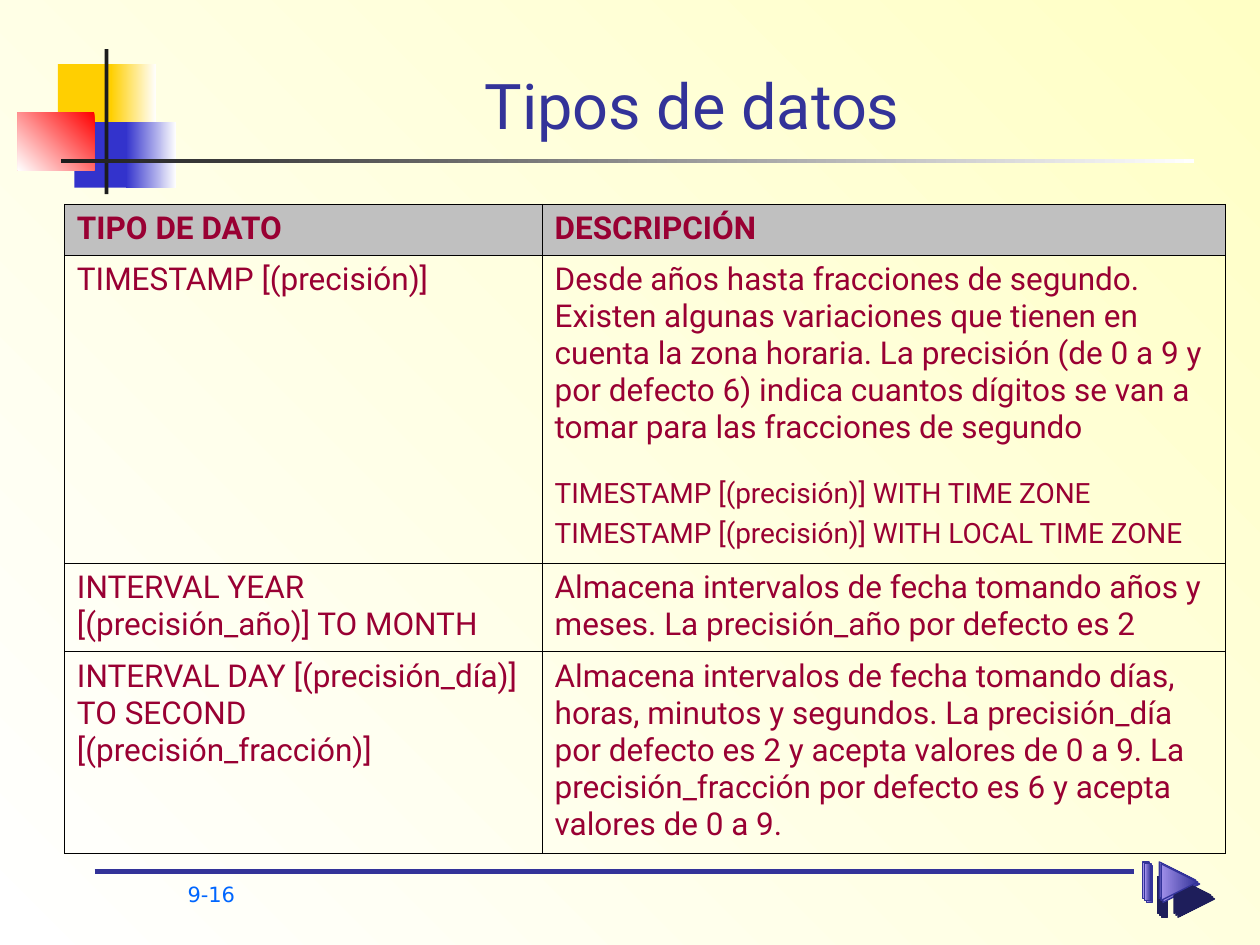
from lxml import etree
from pptx import Presentation
from pptx.dml.color import RGBColor
from pptx.enum.shapes import MSO_CONNECTOR, MSO_SHAPE
from pptx.enum.text import MSO_ANCHOR, PP_ALIGN
from pptx.oxml.ns import qn
from pptx.util import Pt

WHITE = RGBColor(0xFF, 0xFF, 0xFF)
CREAM = RGBColor(0xFF, 0xFF, 0xC5)
YELLOW = RGBColor(0xFF, 0xCF, 0x01)
BLUE = RGBColor(0x33, 0x33, 0xCC)
RED = RGBColor(0xFF, 0x00, 0x00)
DARK = RGBColor(0x1C, 0x1C, 0x1C)
NAVY = RGBColor(0x33, 0x33, 0x99)
LILAC = RGBColor(0xA0, 0x8F, 0xE9)
SHADOW = RGBColor(0x1E, 0x1E, 0x5B)
SKY = RGBColor(0x00, 0x66, 0xFF)
WINE = RGBColor(0x99, 0x00, 0x33)
GRAY = RGBColor(0xC0, 0xC0, 0xC0)
BLACK = RGBColor(0, 0, 0)

TITLE = "Tipos de datos"
PAGE = "9-16"

# Each cell is a list of paragraphs: (text, size, space before)
ROWS = [
    ([("TIPO DE DATO", 18, 0)], [("DESCRIPCIÓN", 18, 0)]),
    ([("TIMESTAMP [(precisión)]", 18, 0)],
     [("Desde años hasta fracciones de segundo. Existen algunas variaciones "
       "que tienen en cuenta la zona horaria. La precisión (de 0 a 9 y por "
       "defecto 6) indica cuantos dígitos se van a tomar para las fracciones "
       "de segundo", 18, 0),
      ("TIMESTAMP [(precisión)] WITH TIME ZONE", 16, 18.2),
      ("TIMESTAMP [(precisión)] WITH LOCAL TIME ZONE", 16, 4)]),
    ([("INTERVAL YEAR [(precisión_año)] TO MONTH", 18, 0)],
     [("Almacena intervalos de fecha tomando años y meses. La precisión_año "
       "por defecto es 2", 18, 0)]),
    ([("INTERVAL DAY [(precisión_día)] TO SECOND [(precisión_fracción)]", 18, 0)],
     [("Almacena intervalos de fecha tomando días, horas, minutos y segundos. "
       "La precisión_día por defecto es 2 y acepta valores de 0 a 9. La "
       "precisión_fracción por defecto es 6 y acepta valores de 0 a 9.", 18, 0)]),
]
COL_WIDTHS = (273, 390.2)
ROW_HEIGHTS = (29, 176.2, 50.6, 115.2)

# Left, top, width, height, gradient start (None if solid), end, angle
ORNAMENT = [
    (33.1, 36.7, 34.6, 37.4, None, YELLOW, 0),
    (63.4, 36.7, 25.9, 37.4, WHITE, YELLOW, 180),
    (42.5, 69.8, 33.1, 37.4, None, BLUE, 0),
    (72, 69.8, 28.8, 37.4, WHITE, BLUE, 180),
    (10.1, 64.1, 43.9, 33.1, RED, WHITE, 225),
    (59.8, 28.1, 2.2, 82.8, None, DARK, 0),
    (34.6, 90.7, 648, 2.2, WHITE, DARK, 180),
]
ARROW_LAYERS = (2.2, 0, 1.1)    # diagonal offsets, back to front
ARROW_TOP, ARROW_SIZE = 492.5, 20.9
BAR_LEFT, BAR_WIDTH, HEAD_LEFT = 653, 3.6, 662.4


def gradient(fill, start, end, angle):
    fill.gradient()
    fill.gradient_angle = angle
    for stop, color in zip(fill.gradient_stops, (start, end)):
        stop.color.rgb = color


def add_rect(x, y, w, h):
    s = slide.shapes.add_shape(MSO_SHAPE.RECTANGLE, Pt(x), Pt(y), Pt(w), Pt(h))
    s.shadow.inherit = False
    s.line.fill.background()
    return s


def style_arrow_part(s):
    gradient(s.fill, NAVY, LILAC, 180)
    s.line.color.rgb = NAVY
    s.line.width = Pt(0.75)
    s.shadow.inherit = False
    effects = s._element.spPr.find(qn("a:effectLst"))
    shadow = etree.SubElement(effects, qn("a:outerShdw"), blurRad="0",
                              dist=str(Pt(12.1)), dir="2700000",
                              algn="ctr", rotWithShape="0")
    etree.SubElement(shadow, qn("a:srgbClr"), val=str(SHADOW))


def add_text(x, y, w, h, text, size, font, color, align, anchor):
    tf = slide.shapes.add_textbox(Pt(x), Pt(y), Pt(w), Pt(h)).text_frame
    tf.word_wrap = True
    tf.vertical_anchor = anchor
    p = tf.paragraphs[0]
    p.text = text
    p.alignment = align
    style_font(p.font, size, font, color)


def style_font(f, size, name, color, bold=False):
    f.size, f.name, f.bold = Pt(size), name, bold
    f.color.rgb = color


def border_cell(cell):
    tcPr = cell._tc.get_or_add_tcPr()
    for i, side in enumerate(("lnL", "lnR", "lnT", "lnB")):
        ln = etree.Element(qn(f"a:{side}"), w=str(Pt(0.45)))
        fill = etree.SubElement(ln, qn("a:solidFill"))
        etree.SubElement(fill, qn("a:srgbClr"), val=str(BLACK))
        tcPr.insert(i, ln)


prs = Presentation()
prs.slide_width, prs.slide_height = Pt(720), Pt(540)
slide = prs.slides.add_slide(prs.slide_layouts[6])
gradient(slide.background.fill, CREAM, WHITE, 225)

# Corner ornament and title rule
for x, y, w, h, start, end, angle in ORNAMENT:
    s = add_rect(x, y, w, h)
    if start is None:
        s.fill.solid()
        s.fill.fore_color.rgb = end
    else:
        gradient(s.fill, start, end, angle)

# Footer line
line = slide.shapes.add_connector(MSO_CONNECTOR.STRAIGHT,
                                  Pt(54), Pt(498.2), Pt(648), Pt(498.2))
line.line.color.rgb = NAVY
line.line.width = Pt(2.75)
etree.SubElement(line._element.spPr, qn("a:effectLst"))

# Footer arrow: stacked bars, then stacked triangles
for d in ARROW_LAYERS:
    style_arrow_part(add_rect(BAR_LEFT + d, ARROW_TOP + d, BAR_WIDTH, ARROW_SIZE))
for d in ARROW_LAYERS:
    x, y = HEAD_LEFT + d, ARROW_TOP + d
    head = slide.shapes.build_freeform(Pt(x + ARROW_SIZE), Pt(y + ARROW_SIZE / 2))
    head.add_line_segments([(Pt(x), Pt(y)), (Pt(x), Pt(y + ARROW_SIZE))], close=True)
    style_arrow_part(head.convert_to_shape())

# Page number and title
add_text(100.1, 500.4, 61.9, 23.8, PAGE, 12, "DejaVu Sans", SKY,
         PP_ALIGN.LEFT, MSO_ANCHOR.TOP)
add_text(90.7, 25.9, 609.8, 59, TITLE, 36, "Roboto", NAVY,
         PP_ALIGN.CENTER, MSO_ANCHOR.BOTTOM)

# Data type table
table = slide.shapes.add_table(len(ROWS), len(COL_WIDTHS), Pt(36.8), Pt(116.7),
                               Pt(sum(COL_WIDTHS)), Pt(sum(ROW_HEIGHTS))).table
table.horz_banding = False
for column, width in zip(table.columns, COL_WIDTHS):
    column.width = Pt(width)
for r, (row, height) in enumerate(zip(ROWS, ROW_HEIGHTS)):
    table.rows[r].height = Pt(height)
    for c, paragraphs in enumerate(row):
        cell = table.cell(r, c)
        if r == 0:
            cell.fill.solid()
            cell.fill.fore_color.rgb = GRAY
        else:
            cell.fill.background()
        border_cell(cell)
        tf = cell.text_frame
        for i, (text, size, before) in enumerate(paragraphs):
            p = tf.add_paragraph() if i else tf.paragraphs[0]
            p.text = text
            if before:
                p.space_before = Pt(before)
            style_font(p.font, size, "Roboto", WINE, bold=r == 0)

prs.save("out.pptx")
